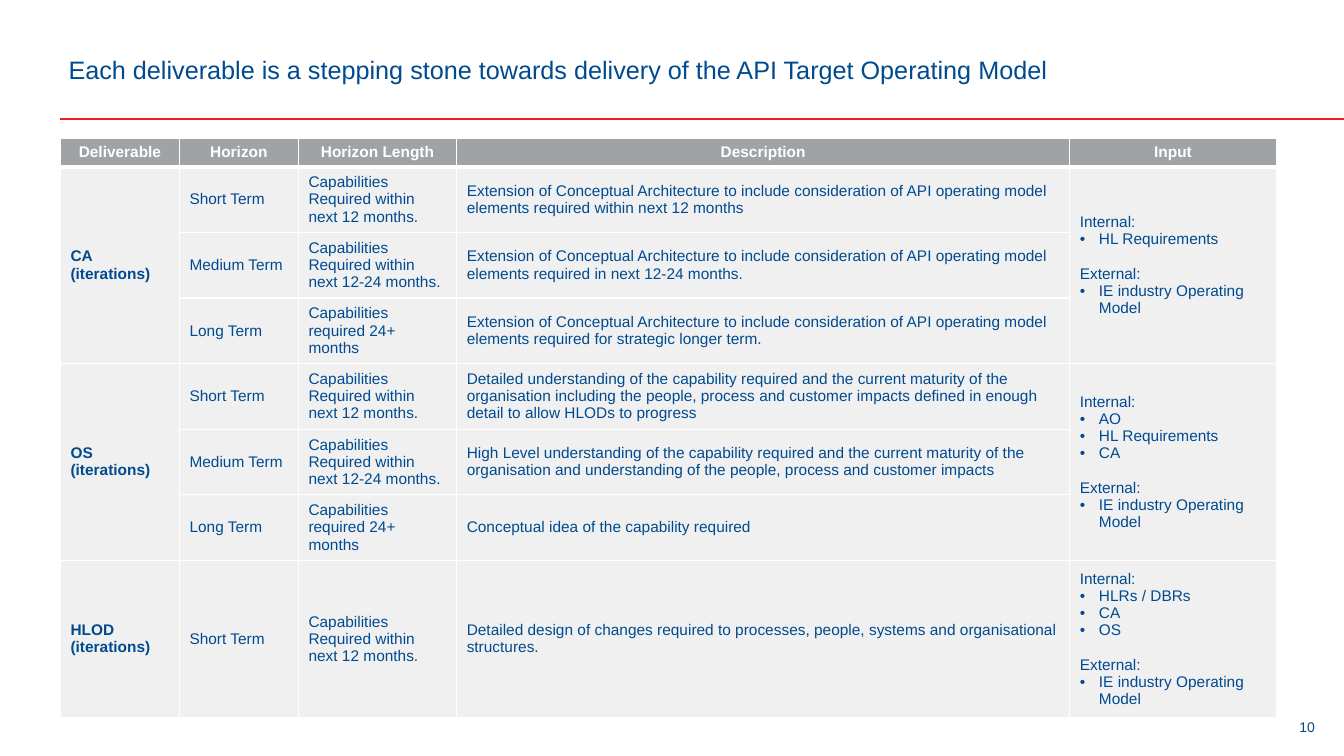
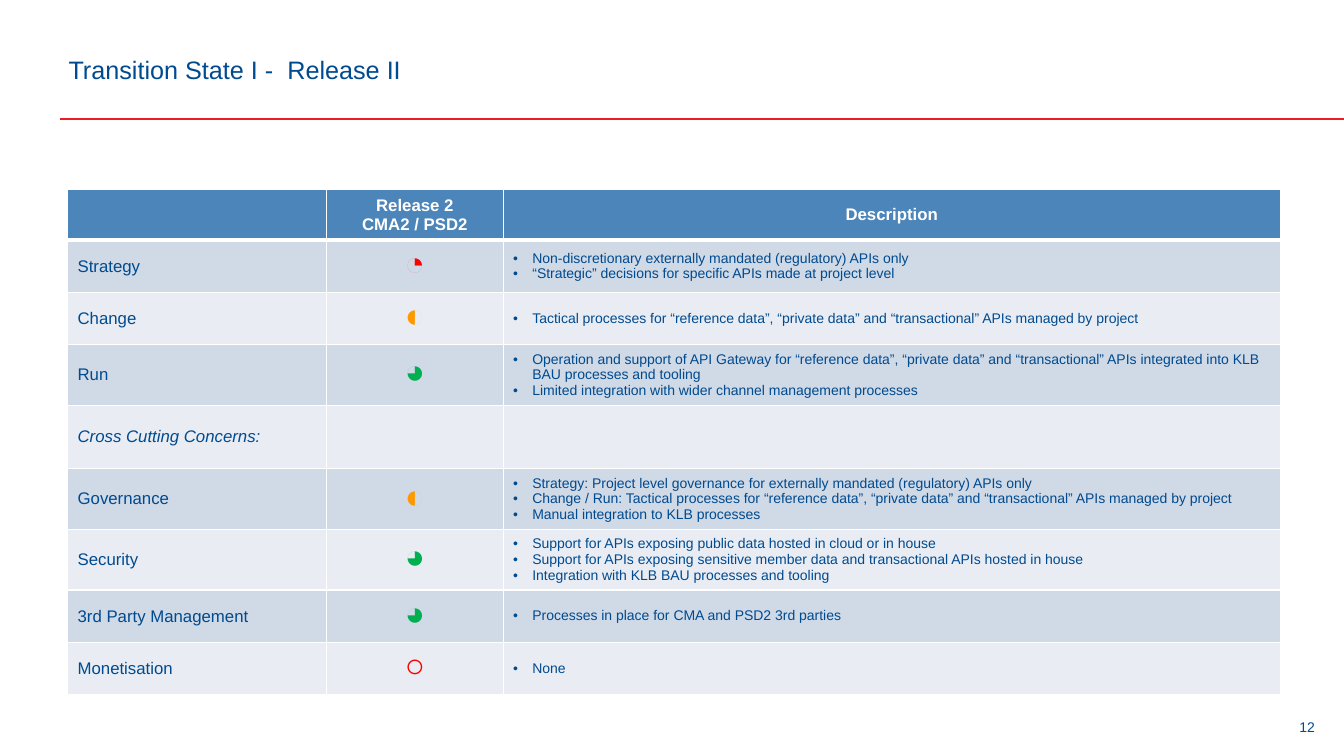
from dataclasses import dataclass, replace

from lxml.etree import SubElement
from pptx import Presentation
from pptx.dml.color import RGBColor
from pptx.enum.shapes import MSO_CONNECTOR as Connector
from pptx.enum.text import MSO_ANCHOR as Anchor, PP_ALIGN as Align
from pptx.oxml.ns import qn
from pptx.util import Inches, Pt

# Shared colours and fonts
NAVY = RGBColor(0x00, 0x4A, 0x8F)
RULE_RED = RGBColor(0xED, 0x1C, 0x24)
WHITE = RGBColor(0xFF, 0xFF, 0xFF)
HEADER_GREY = RGBColor(0xA0, 0xA3, 0xA6)
BODY_GREY = RGBColor(0xF0, 0xF0, 0xF1)
HEADER_BLUE = RGBColor(0x4C, 0x85, 0xB9)
BAND_DARK = RGBColor(0xD0, 0xD9, 0xE6)
BAND_LIGHT = RGBColor(0xE9, 0xED, 0xF3)
RED = RGBColor(0xFF, 0x00, 0x00)
AMBER = RGBColor(0xFF, 0x99, 0x00)
GREEN = RGBColor(0x00, 0xB0, 0x50)

BULLET_INDENT = Inches(0.19)
SECTION_GAP = Pt(12.6)


@dataclass(frozen=True)
class TextStyle:
    size: float
    color: RGBColor = NAVY
    font: str = "Arial"
    bold: bool = False
    italic: bool = False
    align: Align = Align.LEFT
    bulleted: bool = False


TITLE = TextStyle(18)
PAGE_NUMBER = TextStyle(10, align=Align.CENTER)
PLAIN = TextStyle(11)
STRONG = replace(PLAIN, bold=True)
INPUT_LIST = replace(PLAIN, bulleted=True)
HEADER = TextStyle(11, WHITE, bold=True, align=Align.CENTER)
AREA = TextStyle(12)
POINTS = TextStyle(10, bulleted=True)
MATURITY = TextStyle(24, font="Courier New", align=Align.CENTER)

# Deliverables: name, inputs, then horizon and description pairs
LENGTHS = {
    "Short Term": "Capabilities Required within next 12 months.",
    "Medium Term": "Capabilities Required within next 12-24 months.",
    "Long Term": "Capabilities required 24+ months",
}
EXTENSION = ("Extension of Conceptual Architecture to include consideration of "
             "API operating model elements required ")
EXTERNAL = "External:\nIE industry Operating Model"
DELIVERABLES = [
    ("CA\n(iterations)", f"Internal:\nHL Requirements\n{EXTERNAL}", [
        ("Short Term", EXTENSION + "within next 12 months"),
        ("Medium Term", EXTENSION + "in next 12-24 months."),
        ("Long Term", EXTENSION + "for strategic longer term."),
    ]),
    ("OS (iterations)", f"Internal:\nAO\nHL Requirements\nCA\n{EXTERNAL}", [
        ("Short Term", "Detailed understanding of the capability required and the "
         "current maturity of the organisation including the people, process and "
         "customer impacts defined in enough detail to allow HLODs to progress"),
        ("Medium Term", "High Level understanding of the capability required and the "
         "current maturity of the organisation and understanding of the people, "
         "process and customer impacts"),
        ("Long Term", "Conceptual idea of the capability required"),
    ]),
    ("HLOD (iterations)", f"Internal:\nHLRs / DBRs\nCA\nOS\n{EXTERNAL}", [
        ("Short Term", "Detailed design of changes required to processes, people, "
         "systems and organisational structures."),
    ]),
]

# Release areas: name, maturity symbol, row height, points
SYMBOL_COLORS = {"○": RED, "◔": RED, "◐": AMBER, "◕": GREEN}
API_KINDS = "“reference data”, “private data” and “transactional” APIs"
AREAS = [
    ("Strategy", "◔", 0.52,
     "Non-discretionary externally mandated (regulatory) APIs only\n"
     "“Strategic” decisions for specific APIs made at project level"),
    ("Change", "◐", 0.52, f"Tactical processes for {API_KINDS} managed by project"),
    ("Run", "◕", 0.57,
     f"Operation and support of API Gateway for {API_KINDS} integrated into KLB "
     "BAU processes and tooling\n"
     "Limited integration with wider channel management processes"),
    ("Cross Cutting Concerns:", "", 0.63, ""),
    ("Governance", "◐", 0.57,
     "Strategy: Project level governance for externally mandated (regulatory) APIs only\n"
     f"Change / Run: Tactical processes for {API_KINDS} managed by project\n"
     "Manual integration to KLB processes"),
    ("Security", "◕", 0.57,
     "Support for APIs exposing public data hosted in cloud or in house\n"
     "Support for APIs exposing sensitive member data and transactional APIs hosted in house\n"
     "Integration with KLB BAU processes and tooling"),
    ("3rd Party Management", "◕", 0.52, "Processes in place for CMA and PSD2 3rd parties"),
    ("Monetisation", "○", 0.52, "None"),
]


def add_bullet(paragraph):
    properties = paragraph._p.get_or_add_pPr()
    properties.set("marL", str(BULLET_INDENT))
    properties.set("indent", str(-BULLET_INDENT))
    SubElement(properties, qn("a:buFont"), typeface="Arial")
    SubElement(properties, qn("a:buChar"), char="•")


def write(frame, text, style):
    """Fill a frame; in bulleted text, lines ending in a colon are headings."""
    frame.text = text
    for index, paragraph in enumerate(frame.paragraphs):
        paragraph.alignment = style.align
        if style.bulleted and paragraph.text.endswith(":"):
            if index:
                paragraph.space_before = SECTION_GAP
        elif style.bulleted and paragraph.text:
            add_bullet(paragraph)
        for run in paragraph.runs:
            font = run.font
            font.name, font.size = style.font, Pt(style.size)
            font.bold, font.italic = style.bold, style.italic
            font.color.rgb = style.color


def add_text(slide, box, text, style, side_inset):
    text_box = slide.shapes.add_textbox(*map(Inches, box))
    frame = text_box.text_frame
    frame.word_wrap = True
    frame.vertical_anchor = Anchor.MIDDLE
    frame.margin_left = frame.margin_right = Inches(side_inset)
    write(frame, text, style)


def add_base_slide(deck, title, number):
    """Blank slide with the title, red rule and page number."""
    slide = deck.slides.add_slide(deck.slide_layouts[6])
    rule = slide.shapes.add_connector(
        Connector.STRAIGHT, Inches(0.6), Inches(1.18), deck.slide_width, Inches(1.18))
    rule.line.color.rgb = RULE_RED
    rule.line.width = Pt(2)
    SubElement(rule._element.spPr, qn("a:effectLst"))
    add_text(slide, (12.7, 6.88, 0.53, 0.67), number, PAGE_NUMBER, 0.1)
    add_text(slide, (0.56, 0.21, 12.11, 0.96), title, TITLE, 0.12)
    return slide


def add_grid(slide, left, top, widths, heights):
    frame = slide.shapes.add_table(
        len(heights), len(widths), Inches(left), Inches(top),
        Inches(sum(widths)), Inches(sum(heights)))
    table = frame.table
    table.horz_banding = False
    for column, width in zip(table.columns, widths):
        column.width = Inches(width)
    for row, height in zip(table.rows, heights):
        row.height = Inches(height)
    return table


def set_borders(cell, row):
    """White cell lines, with a heavier one below the header row."""
    weights = {"L": 1, "R": 1, "T": 3 if row == 1 else 1, "B": 3 if row == 0 else 1}
    for side, points in weights.items():
        line = SubElement(cell._tc.get_or_add_tcPr(), qn(f"a:ln{side}"), w=str(Pt(points)))
        fill = SubElement(line, qn("a:solidFill"))
        SubElement(fill, qn("a:srgbClr"), val=str(WHITE))


def fill_row(table, row, color, texts, styles):
    for column, (text, style) in enumerate(zip(texts, styles)):
        cell = table.cell(row, column)
        set_borders(cell, row)
        cell.fill.solid()
        cell.fill.fore_color.rgb = color
        cell.vertical_anchor = Anchor.MIDDLE
        if text:
            write(cell.text_frame, text, style)


def build_deliverables(deck):
    slide = add_base_slide(
        deck, "Each deliverable is a stepping stone towards delivery of the "
        "API Target Operating Model", "10")
    table = add_grid(slide, 0.6, 1.37, (1.18, 1.18, 1.57, 6.08, 2.05),
                     [0.27] + [0.61] * 6 + [1.47])
    headings = ("Deliverable", "Horizon", "Horizon Length", "Description", "Input")
    fill_row(table, 0, HEADER_GREY, headings, [HEADER] * len(headings))

    styles = (STRONG, PLAIN, PLAIN, PLAIN, INPUT_LIST)
    row = 1
    for name, inputs, horizons in DELIVERABLES:
        first = row
        for horizon, description in horizons:
            is_first = row == first
            texts = (name if is_first else "", horizon, LENGTHS[horizon],
                     description, inputs if is_first else "")
            fill_row(table, row, BODY_GREY, texts, styles)
            row += 1
        if len(horizons) > 1:
            for column in (0, len(headings) - 1):
                table.cell(first, column).merge(table.cell(row - 1, column))


def build_release(deck):
    slide = add_base_slide(deck, "Transition State I -  Release II", "12")
    table = add_grid(slide, 0.67, 1.88, (2.57, 1.75, 7.71),
                     [0.5] + [height for _, _, height, _ in AREAS])
    fill_row(table, 0, HEADER_BLUE, ("", "Release 2\nCMA2 / PSD2", "Description"),
             [replace(HEADER, size=12)] * 3)

    for row, (area, symbol, _, points) in enumerate(AREAS, 1):
        styles = (replace(AREA, italic=not symbol),
                  replace(MATURITY, color=SYMBOL_COLORS.get(symbol, NAVY)), POINTS)
        fill_row(table, row, BAND_DARK if row % 2 else BAND_LIGHT,
                 (area, symbol, points), styles)


def main():
    deck = Presentation()
    deck.slide_width, deck.slide_height = Inches(13.33), Inches(7.5)
    build_deliverables(deck)
    build_release(deck)
    deck.save("out.pptx")


if __name__ == "__main__":
    main()
